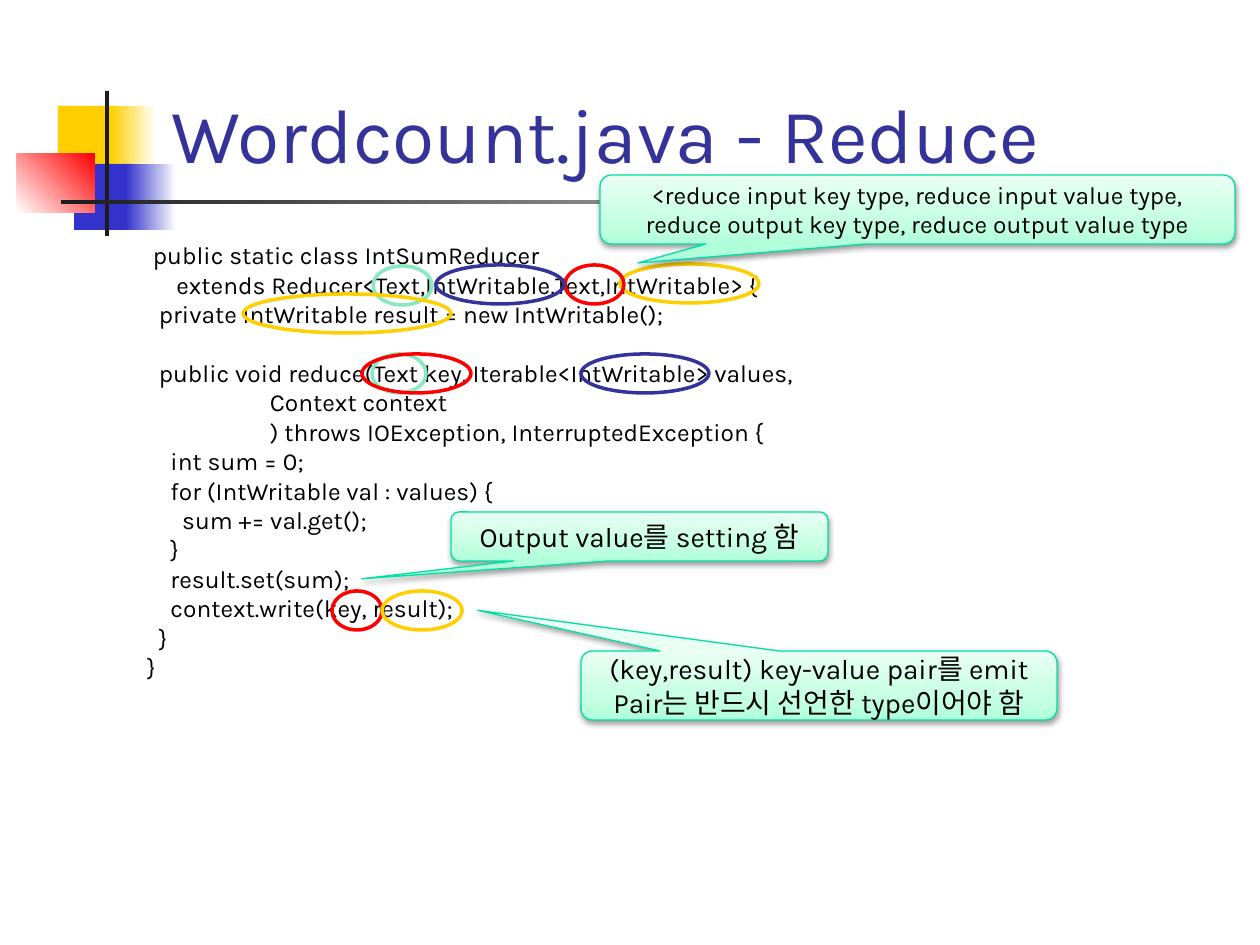
from lxml import etree
from pptx import Presentation
from pptx import util as u
from pptx.dml.color import RGBColor
from pptx.enum import shapes, text
from pptx.oxml import ns

GOLD = RGBColor(0xFF, 0xCF, 0x01)
BLUE = RGBColor(0x33, 0x33, 0xCC)
NAVY = RGBColor(0x33, 0x33, 0x99)
RED = RGBColor(0xFF, 0x00, 0x00)
MINT = RGBColor(0x88, 0xE9, 0xBE)
GREEN = RGBColor(0x00, 0xDF, 0xA4)
INK = RGBColor(0x1C, 0x1C, 0x1C)
BLACK = RGBColor(0, 0, 0)
WHITE = RGBColor(0xFF, 0xFF, 0xFF)
CALLOUT_STOPS = [(0, RGBColor(0xB0, 0xFF, 0xDA)), (35, RGBColor(0xC7, 0xFF, 0xE4)),
                 (100, RGBColor(0xEA, 0xFF, 0xF4))]

FONT = "Karla"
PIXEL = u.Inches(1) / 126
SPACE_WIDTH = 5.85
CODE_LINE = 16.8

DECORATION = [
    ((58, 106, 60, 65), [(0, GOLD)], 0),
    ((111, 106, 45, 65), [(0, GOLD), (100, WHITE)], 0),
    ((74, 164, 58, 66), [(0, BLUE)], 0),
    ((126, 164, 50, 66), [(0, BLUE), (100, WHITE)], 0),
    ((17, 154, 78, 59), [(0, WHITE), (100, RED)], 45),
    ((105, 91, 4, 145), [(0, INK)], 0),
    ((61, 200, 1134, 4), [(0, INK), (100, WHITE)], 0),
]

CODE = [
    (3, "public static class IntSumReducer"),
    (7, "extends Reducer<Text,IntWritable,Text,IntWritable> {"),
    (4, "private IntWritable result = new IntWritable();"),
    (0, ""),
    (4, "public void reduce(Text key, Iterable<IntWritable> values,"),
    (23, "Context context"),
    (23, ") throws IOException, InterruptedException {"),
    (6, "int sum = 0;"),
    (6, "for (IntWritable val : values) {"),
    (8, "sum += val.get();"),
    (6, "}"),
    (6, "result.set(sum);"),
    (6, "context.write(key, result);"),
    (4, "}"),
    (2, "}"),
]

RING_HEIGHT = 39
RINGS = [
    (620, 264, 139, GOLD), (565, 265, 59, RED), (436, 265, 128, NAVY),
    (373, 266, 59, MINT), (372, 354, 54, MINT), (581, 354, 128, NAVY),
    (332, 591, 50, RED), (362, 354, 109, RED), (243, 294, 208, GOLD),
    (382, 591, 80, GOLD),
]

CALLOUTS = [
    ((600, 175, 635, 69), (-0.44, 0.774), 14,
     ["<reduce input key type, reduce input value type,",
      "reduce output key type, reduce output value type"]),
    ((451, 512, 377, 49), (-0.737, 0.865), 16, ["Output value를 setting 함"]),
    ((581, 651, 476, 69), (-0.717, -1.089), 16,
     ["(key,result) key-value pair를 emit", "Pair는 반드시 선언한 type이어야 함"]),
]


def px(value):
    return u.Emu(round(value * PIXEL))


def add_shape(kind, box):
    shape = page.shapes.add_shape(kind, *map(px, box))
    shape.shadow.inherit = False
    return shape


def paint(shape, stops, angle):
    if len(stops) == 1:
        shape.fill.solid()
        shape.fill.fore_color.rgb = stops[0][1]
        return
    shape.fill.gradient()
    shape.fill.gradient_angle = angle
    stop_list = shape._element.spPr.find(".//" + ns.qn("a:gsLst"))
    for stop in list(stop_list):
        stop_list.remove(stop)
    for position, color in stops:
        stop = etree.SubElement(stop_list, ns.qn("a:gs"), pos=str(position * 1000))
        etree.SubElement(stop, ns.qn("a:srgbClr"), val=str(color))


def cast_shadow(shape):
    effects = shape._element.spPr.find(ns.qn("a:effectLst"))
    shadow = etree.SubElement(effects, ns.qn("a:outerShdw"), blurRad="40000",
                              dist="20000", dir="5400000", rotWithShape="0")
    color = etree.SubElement(shadow, ns.qn("a:srgbClr"), val=str(BLACK))
    etree.SubElement(color, ns.qn("a:alpha"), val="38000")


def write(para, words, size, color=BLACK):
    span = para.add_run()
    span.text = words
    span.font.name = FONT
    span.font.size = u.Pt(size)
    span.font.color.rgb = color


def add_text_frame(box, anchor):
    frame = page.shapes.add_textbox(*map(px, box)).text_frame
    frame.word_wrap = True
    frame.vertical_anchor = anchor
    return frame


def next_para(frame, index):
    return frame.add_paragraph() if index else frame.paragraphs[0]


deck = Presentation()
deck.slide_width, deck.slide_height = px(1260), px(945)
page = deck.slides.add_slide(deck.slide_layouts[6])

for box, stops, angle in DECORATION:
    block = add_shape(shapes.MSO_SHAPE.RECTANGLE, box)
    paint(block, stops, angle)
    block.line.fill.background()

title = add_text_frame((159, 72, 1073, 113), text.MSO_ANCHOR.BOTTOM)
write(title.paragraphs[0], "Wordcount.java - Reduce", 44, NAVY)

code = add_text_frame((123, 234, 922, 459), text.MSO_ANCHOR.TOP)
code_lines = [line for line in CODE if line[1]]
after_gap = {CODE[i + 1] for i, line in enumerate(CODE) if not line[1]}
for index, line in enumerate(code_lines):
    para = next_para(code, index)
    para._p.get_or_add_pPr().set("marL", str(px(line[0] * SPACE_WIDTH)))
    if line in after_gap:
        para.space_before = u.Pt(CODE_LINE)
    write(para, line[1], 14)

for left, top, width, color in RINGS:
    ring = add_shape(shapes.MSO_SHAPE.OVAL, (left, top, width, RING_HEIGHT))
    ring.fill.background()
    ring.line.color.rgb = color
    ring.line.width = u.Pt(2)

for box, tip, size, lines in CALLOUTS:
    callout = add_shape(shapes.MSO_SHAPE.ROUNDED_RECTANGULAR_CALLOUT, box)
    callout.adjustments[0], callout.adjustments[1] = tip
    paint(callout, CALLOUT_STOPS, 90)
    callout.line.color.rgb = GREEN
    callout.line.width = u.Pt(0.75)
    cast_shadow(callout)
    frame = callout.text_frame
    frame.word_wrap = True
    frame.vertical_anchor = text.MSO_ANCHOR.MIDDLE
    for index, line in enumerate(lines):
        para = next_para(frame, index)
        para.alignment = text.PP_ALIGN.CENTER
        write(para, line, size)

deck.save("out.pptx")
